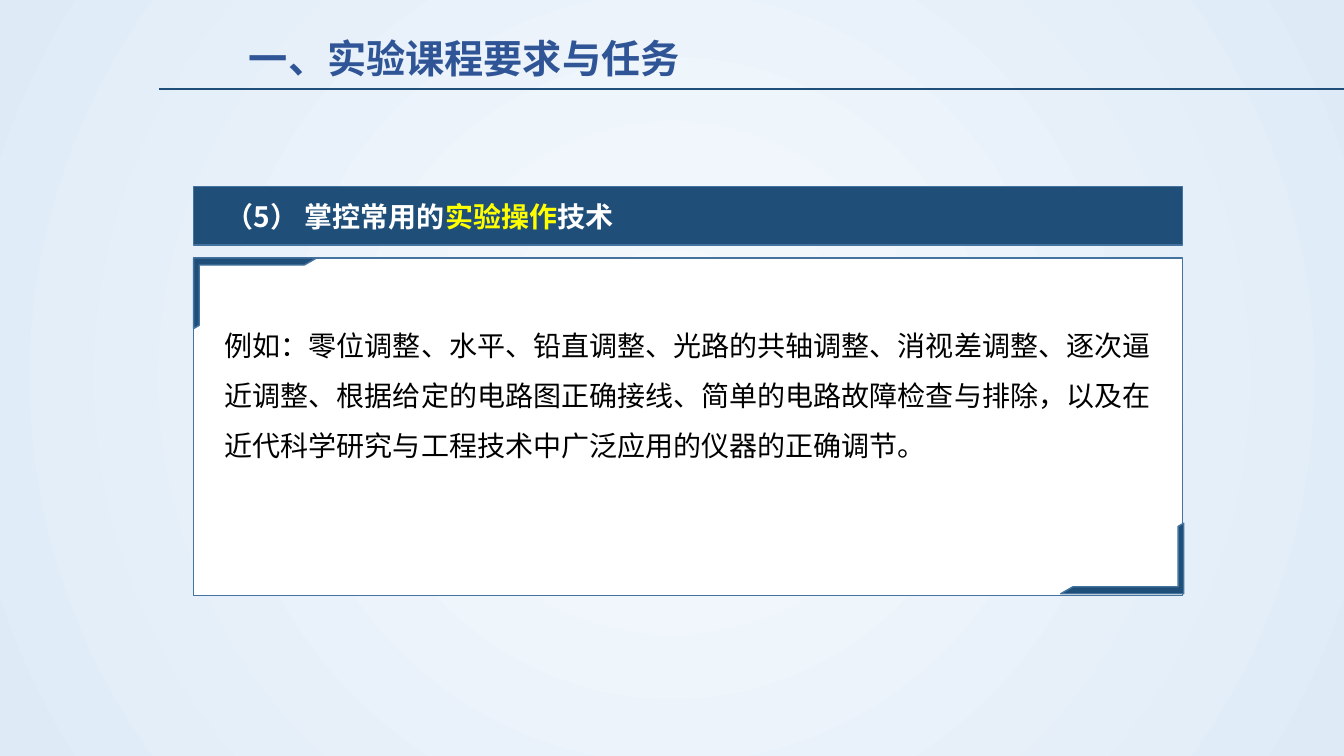
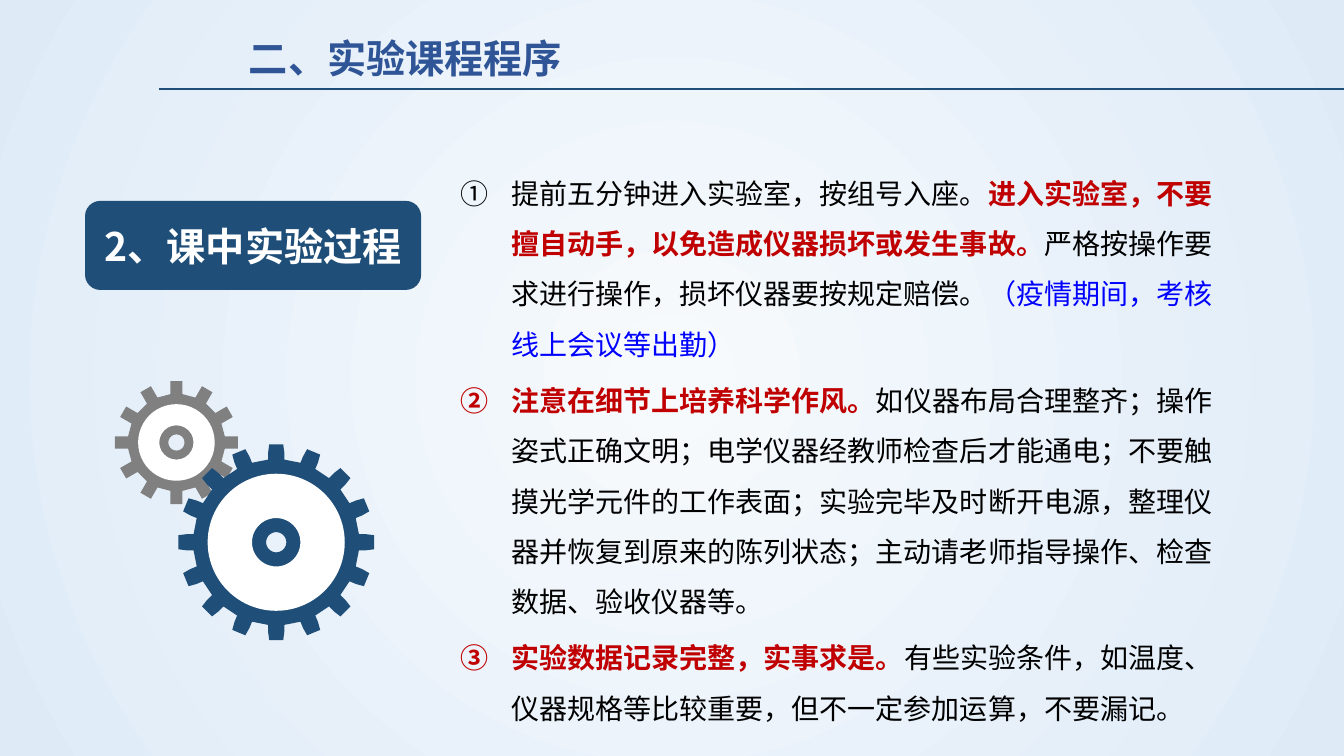
from math import cos, pi, sin

from lxml import etree
from pptx import Presentation
from pptx.dml.color import RGBColor
from pptx.enum.shapes import MSO_CONNECTOR, MSO_SHAPE
from pptx.enum.text import MSO_ANCHOR, PP_ALIGN
from pptx.oxml.ns import qn
from pptx.util import Inches, Pt

RECT = MSO_SHAPE.RECTANGLE
ROUND = MSO_SHAPE.ROUNDED_RECTANGLE
CORNER = MSO_SHAPE.HALF_FRAME
RING = MSO_SHAPE.DONUT
STRAIGHT = MSO_CONNECTOR.STRAIGHT
MIDDLE = MSO_ANCHOR.MIDDLE
CENTER = PP_ALIGN.CENTER

FONT = "Noto Sans CJK SC"
COLORS = {
    "glow": "F7FAFD", "edge": "DEEBF7", "navy": "1F4E79", "title": "2F5597",
    "line": "43739E", "white": "FFFFFF", "black": "000000", "gray": "808080",
    "yellow": "FFFF00", "red": "C00000", "blue": "0000FF",
}

TITLES = ["一、实验课程要求与任务", "二、实验课程程序"]
HEAD = [
    ("（5） 掌控常用的", "white", True),
    ("实验操作", "yellow", True),
    ("技术", "white", True),
]
BODY = [(
    "例如：零位调整、水平、铅直调整、光路的共轴调整、消视差调整、逐次逼近调整、"
    "根据给定的电路图正确接线、简单的电路故障检查与排除，"
    "以及在近代科学研究与工程技术中广泛应用的仪器的正确调节。",
    "black", False,
)]
LABEL = [("2、课中实验过程", "white", True)]
RULES = [
    [
        ("提前五分钟进入实验室，按组号入座。", "black", False),
        ("进入实验室，不要擅自动手，以免造成仪器损坏或发生事故。", "red", True),
        ("严格按操作要求进行操作，损坏仪器要按规定赔偿。", "black", False),
        ("（疫情期间，考核线上会议等出勤）", "blue", False),
    ],
    [
        ("注意在细节上培养科学作风。", "red", True),
        ("如仪器布局合理整齐；操作姿式正确文明；电学仪器经教师检查后才能通电；"
         "不要触摸光学元件的工作表面；实验完毕及时断开电源，"
         "整理仪器并恢复到原来的陈列状态；主动请老师指导操作、检查数据、验收仪器等。",
         "black", False),
    ],
    [
        ("实验数据记录完整，实事求是。", "red", True),
        ("有些实验条件，如温度、仪器规格等比较重要，但不一定参加运算，不要漏记。",
         "black", False),
    ],
]
GEARS = [
    {"mid": (1.75, 4.39), "color": "gray", "teeth": 12, "hole": 0.08,
     "tooth": [(0.48, 0.06), (0.54, 0.06), (0.61, 0.06)], "ring": (0.38, 0.17)},
    {"mid": (2.74, 5.38), "color": "navy", "teeth": 16, "hole": 0.1,
     "tooth": [(0.82, 0.08), (0.89, 0.08), (0.97, 0.07)], "ring": (0.68, 0.24)},
]


def rgb(name):
    return RGBColor.from_string(COLORS[name])


def paint(shape, fill, line=None):
    shape.shadow.inherit = False
    shape.fill.solid()
    shape.fill.fore_color.rgb = rgb(fill)
    if line:
        shape.line.color.rgb = rgb(line)
        shape.line.width = Pt(1)
    else:
        shape.line.fill.background()


def add_box(slide, kind, box, fill, line=None):
    shape = slide.shapes.add_shape(kind, *map(Inches, box))
    paint(shape, fill, line)
    return shape


def write(par, runs, size=20):
    for text, color, bold in runs:
        run = par.add_run()
        run.text = text
        font = run.font
        font.size, font.bold, font.name = Pt(size), bold, FONT
        font.color.rgb = rgb(color)
        east = etree.SubElement(run._r.get_or_add_rPr(), qn("a:ea"))
        east.set("typeface", FONT)


def add_text(slide, box, runs, size=20):
    frame = slide.shapes.add_textbox(*map(Inches, box)).text_frame
    frame.word_wrap = True
    write(frame.paragraphs[0], runs, size)
    return frame


def set_back(master):
    fill = master.background.fill
    fill.gradient()
    for stop, name in zip(fill.gradient_stops, ("glow", "edge")):
        stop.color.rgb = rgb(name)
    fill.gradient_stops[0].position = 0
    fill.gradient_stops[1].position = 1
    grad = master.element.find(".//" + qn("p:bgPr") + "/" + qn("a:gradFill"))
    grad.remove(grad.find(qn("a:lin")))
    path = etree.SubElement(grad, qn("a:path"), path="circle")
    etree.SubElement(path, qn("a:fillToRect"), l="50000", t="50000", r="50000", b="50000")


def add_page(prs, title):
    slide = prs.slides.add_slide(prs.slide_layouts[6])
    line = slide.shapes.add_connector(
        STRAIGHT, Inches(1.58), Inches(0.88), prs.slide_width, Inches(0.88))
    line.line.color.rgb = rgb("navy")
    line.line.width = Pt(1.25)
    etree.SubElement(line._element.spPr, qn("a:effectLst"))
    add_text(slide, (2.37, 0.29, 5.25, 0.57), [(title, "title", True)], 28)
    return slide


def number(par):
    par.line_spacing = 1.5
    props = par._p.get_or_add_pPr()
    props.set("marL", str(Inches(0.5)))
    props.set("indent", str(-Inches(0.5)))
    space = etree.SubElement(props, qn("a:spcBef"))
    etree.SubElement(space, qn("a:spcPct"), val="20000")
    etree.SubElement(props, qn("a:buAutoNum"), type="circleNumDbPlain")


def add_gear(slide, gear):
    x, y = gear["mid"]
    tooth = [(r, -w) for r, w in gear["tooth"]]
    tooth += [(r, w) for r, w in reversed(gear["tooth"])]
    rim = []
    for i in range(gear["teeth"]):
        turn = 2 * pi * i / gear["teeth"]
        c, s = cos(turn), sin(turn)
        rim += [(Inches(x + r * c - w * s), Inches(y + r * s + w * c)) for r, w in tooth]
    hole = [(Inches(x + gear["hole"] * cos(pi * i / 18)),
             Inches(y - gear["hole"] * sin(pi * i / 18))) for i in range(36)]
    form = slide.shapes.build_freeform(*rim[0])
    form.add_line_segments(rim[1:])
    form.move_to(*hole[0])
    form.add_line_segments(hole[1:])
    paint(form.convert_to_shape(), gear["color"])
    far, near = gear["ring"]
    ring = add_box(slide, RING, (x - far, y - far, 2 * far, 2 * far), "white")
    ring.adjustments[0] = (far - near) / (2 * far)


def add_task(prs):
    slide = add_page(prs, TITLES[0])
    add_box(slide, RECT, (1.92, 2.56, 9.81, 3.35), "white", "line")
    for x, y, turn in ((1.92, 2.56, 0), (10.52, 5.19, 180)):
        mark = add_box(slide, CORNER, (x, y, 1.22, 0.7), "navy", "line")
        mark.adjustments[0], mark.adjustments[1] = 0.1, 0.08
        mark.rotation = turn
    frame = add_text(slide, (2.13, 3.04, 9.41, 1.56), BODY)
    frame.paragraphs[0].line_spacing = 1.5
    add_box(slide, RECT, (1.92, 1.85, 9.81, 0.58), "navy", "line")
    add_text(slide, (2.14, 1.93, 9.31, 0.44), HEAD)


def add_steps(prs):
    slide = add_page(prs, TITLES[1])
    frame = add_text(slide, (4.57, 1.58, 7.57, 5.63), RULES[0])
    frame.margin_left = frame.margin_right = 0
    frame.margin_top = frame.margin_bottom = 0
    for runs in RULES[1:]:
        write(frame.add_paragraph(), runs)
    for par in frame.paragraphs:
        number(par)
    label = add_box(slide, ROUND, (0.85, 2, 3.32, 0.87), "navy", "navy").text_frame
    label.word_wrap = True
    label.vertical_anchor = MIDDLE
    label.paragraphs[0].alignment = CENTER
    write(label.paragraphs[0], LABEL, 28)
    for gear in GEARS:
        add_gear(slide, gear)


def main():
    prs = Presentation()
    prs.slide_width, prs.slide_height = Inches(13.33), Inches(7.5)
    set_back(prs.slide_master)
    add_task(prs)
    add_steps(prs)
    prs.save("out.pptx")


if __name__ == "__main__":
    main()
